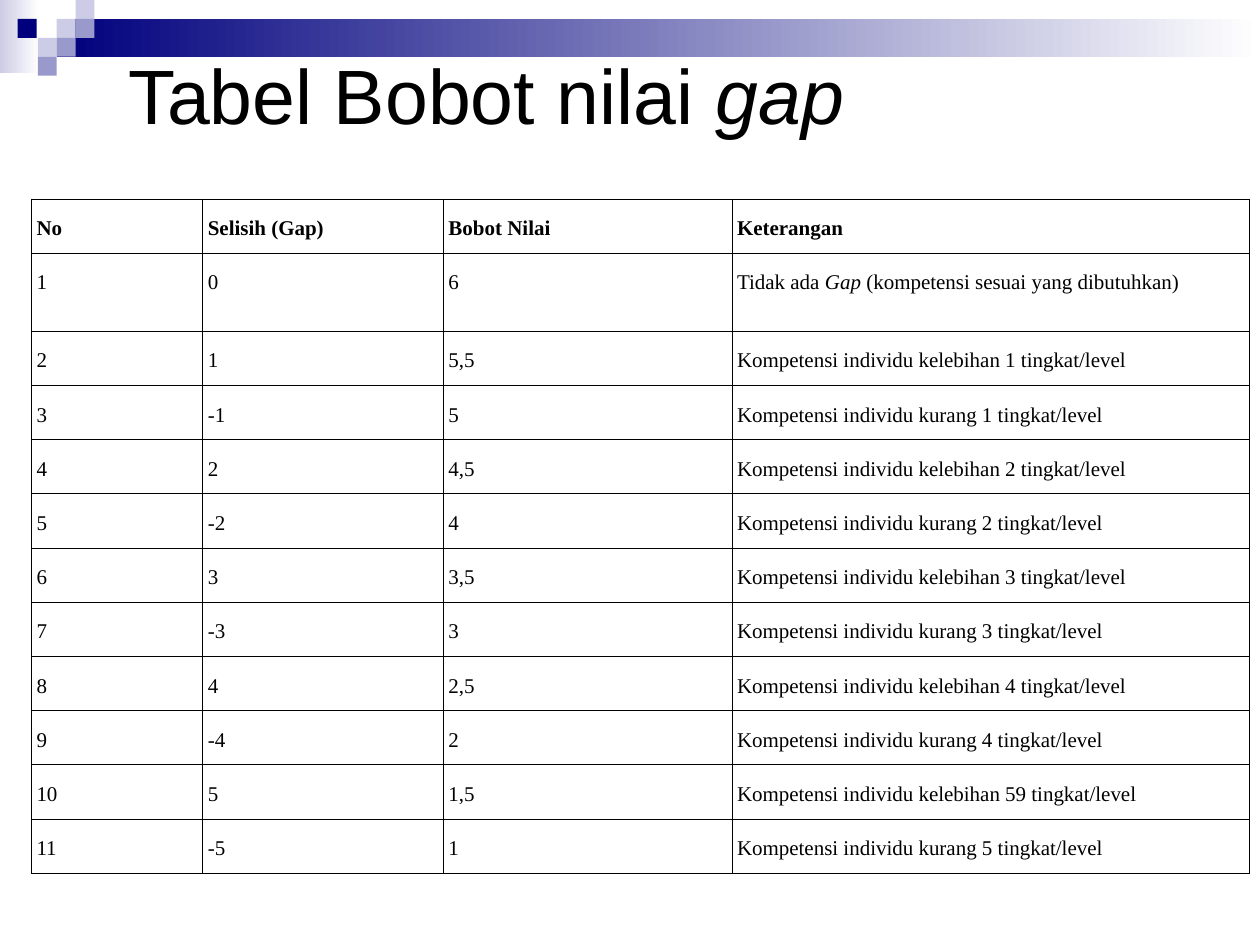
import dataclasses
import typing

import lxml.etree
import pptx
import pptx.dml.color
import pptx.enum.shapes
import pptx.enum.text
import pptx.oxml.ns
import pptx.util

Inches = pptx.util.Inches
Pt = pptx.util.Pt

HUES = {"navy": "00007D", "mid": "9999CC", "pale": "CCCCE6", "white": "FFFFFF", "black": "000000"}
SIDE = 0.15
WIDTHS = (1.36, 1.91, 2.29, 4.11)
ROW = 0.43
TALL = 0.62


@dataclasses.dataclass
class Block:
    left: float
    top: float
    hue: str
    width: float = SIDE
    height: float = SIDE
    fade: bool = False


BLOCKS = (
    Block(0, 0, "pale", 0.31, 0.58, True),
    Block(0.45, 0.15, "navy", 9.55, 0.3, True),
    Block(0.45, 0.15, "pale"),
    Block(0.6, 0, "pale"),
    Block(0.6, 0.15, "mid"),
    Block(0.3, 0.3, "pale"),
    Block(0.14, 0.15, "navy"),
    Block(0.45, 0.3, "mid"),
    Block(0.3, 0.45, "mid"),
)


def tint(name: str) -> pptx.dml.color.RGBColor:
    return pptx.dml.color.RGBColor.from_string(HUES[name])


def apply(target: typing.Any, values: dict[str, typing.Any]) -> None:
    for key, value in values.items():
        setattr(target, key, value)


def draw_block(slide: typing.Any, block: Block) -> None:
    shape = slide.shapes.add_shape(
        pptx.enum.shapes.MSO_SHAPE.RECTANGLE,
        Inches(block.left), Inches(block.top), Inches(block.width), Inches(block.height),
    )
    shape.shadow.inherit = False
    shape.line.fill.background()
    if block.fade:
        shape.fill.gradient()
        shape.fill.gradient_angle = 0
        for stop, name in zip(shape.fill.gradient_stops, (block.hue, "white")):
            stop.color.rgb = tint(name)
    else:
        shape.fill.solid()
        shape.fill.fore_color.rgb = tint(block.hue)


def add_runs(para: typing.Any, text: str, font: dict[str, typing.Any]) -> None:
    for index, part in enumerate(text.split("*")):
        run = para.add_run()
        run.text = part
        apply(run.font, {**font, "italic": index % 2 == 1})
        run.font.color.rgb = tint("black")


def set_edges(cell: typing.Any) -> None:
    props = cell._tc.get_or_add_tcPr()
    name = pptx.oxml.ns.qn
    for index, edge in enumerate(("a:lnL", "a:lnR", "a:lnT", "a:lnB")):
        line = lxml.etree.Element(name(edge), w=str(Pt(0.45)))
        fill = lxml.etree.SubElement(line, name("a:solidFill"))
        lxml.etree.SubElement(fill, name("a:srgbClr"), val=HUES["black"])
        props.insert(index, line)


def fill_cell(cell: typing.Any, text: str, bold: bool, align: typing.Any) -> None:
    side, end = Inches(0.04), Inches(0.05)
    apply(cell, {"margin_left": side, "margin_right": side, "margin_top": end, "margin_bottom": end})
    cell.fill.background()
    set_edges(cell)
    para = cell.text_frame.paragraphs[0]
    apply(para, {"alignment": align, "line_spacing": 1.5})
    add_runs(para, text, {"name": "Times New Roman", "size": Pt(12), "bold": bold})


def make_rows() -> list[tuple[str, ...]]:
    rows = [
        ("No", "Selisih (Gap)", "Bobot Nilai", "Keterangan"),
        ("1", "0", "6", "Tidak ada *Gap *(kompetensi sesuai yang dibutuhkan)"),
    ]
    for number in range(2, 12):
        level = number // 2
        over = number % 2 == 0
        gap = level if over else -level
        score = f"{6 - (number - 1) / 2:g}".replace(".", ",")
        word = "kelebihan" if over else "kurang"
        shown = "59" if gap == 5 else level
        rows.append((str(number), str(gap), score, f"Kompetensi individu {word} {shown} tingkat/level"))
    return rows


def draw_table(slide: typing.Any) -> None:
    rows = make_rows()
    heights = [TALL if index == 1 else ROW for index in range(len(rows))]
    table = slide.shapes.add_table(
        len(rows), len(WIDTHS), Inches(0.25), Inches(1.58), Inches(sum(WIDTHS)), Inches(sum(heights))
    ).table
    apply(table, {"first_row": False, "horz_banding": False})
    for index, width in enumerate(WIDTHS):
        table.columns[index].width = Inches(width)
    modes = pptx.enum.text.PP_ALIGN
    for down, row in enumerate(rows):
        table.rows[down].height = Inches(heights[down])
        for across, text in enumerate(row):
            align = modes.LEFT if down > 1 and across == 3 else modes.JUSTIFY
            fill_cell(table.cell(down, across), text, down == 0, align)


def draw_title(slide: typing.Any) -> None:
    title = slide.shapes.title
    apply(title, {"left": Inches(0.92), "top": Inches(0.8), "width": Inches(8.08), "height": Inches(0.62)})
    apply(title.text_frame, {
        "word_wrap": True,
        "auto_size": pptx.enum.text.MSO_AUTO_SIZE.NONE,
        "vertical_anchor": pptx.enum.text.MSO_ANCHOR.MIDDLE,
    })
    para = title.text_frame.paragraphs[0]
    para.alignment = pptx.enum.text.PP_ALIGN.LEFT
    add_runs(para, "Tabel Bobot nilai *gap", {"name": "Arial", "size": Pt(44)})
    para.add_line_break()


def main() -> None:
    deck = pptx.Presentation()
    apply(deck, {"slide_width": Inches(10), "slide_height": Inches(7.5)})
    slide = deck.slides.add_slide(deck.slide_layouts[5])
    for block in BLOCKS:
        draw_block(slide, block)
    draw_table(slide)
    draw_title(slide)
    deck.save("out.pptx")


if __name__ == "__main__":
    main()
